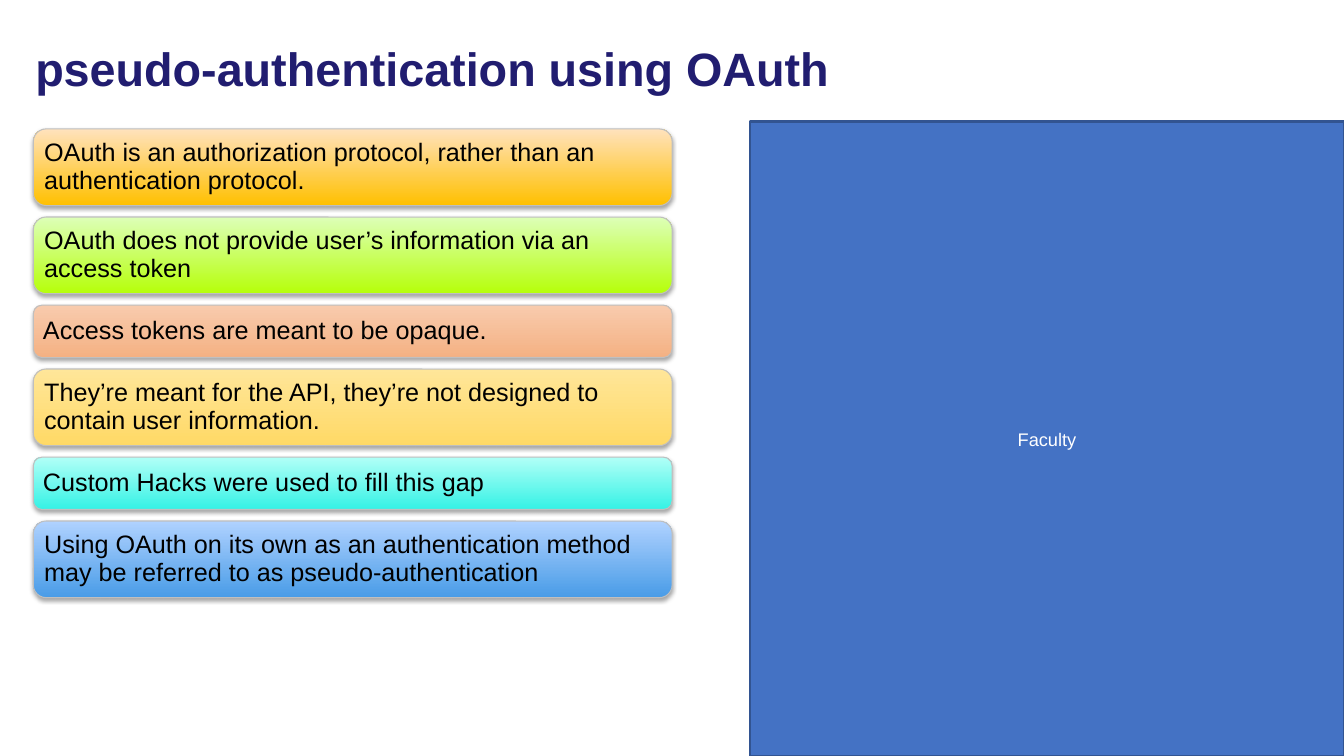
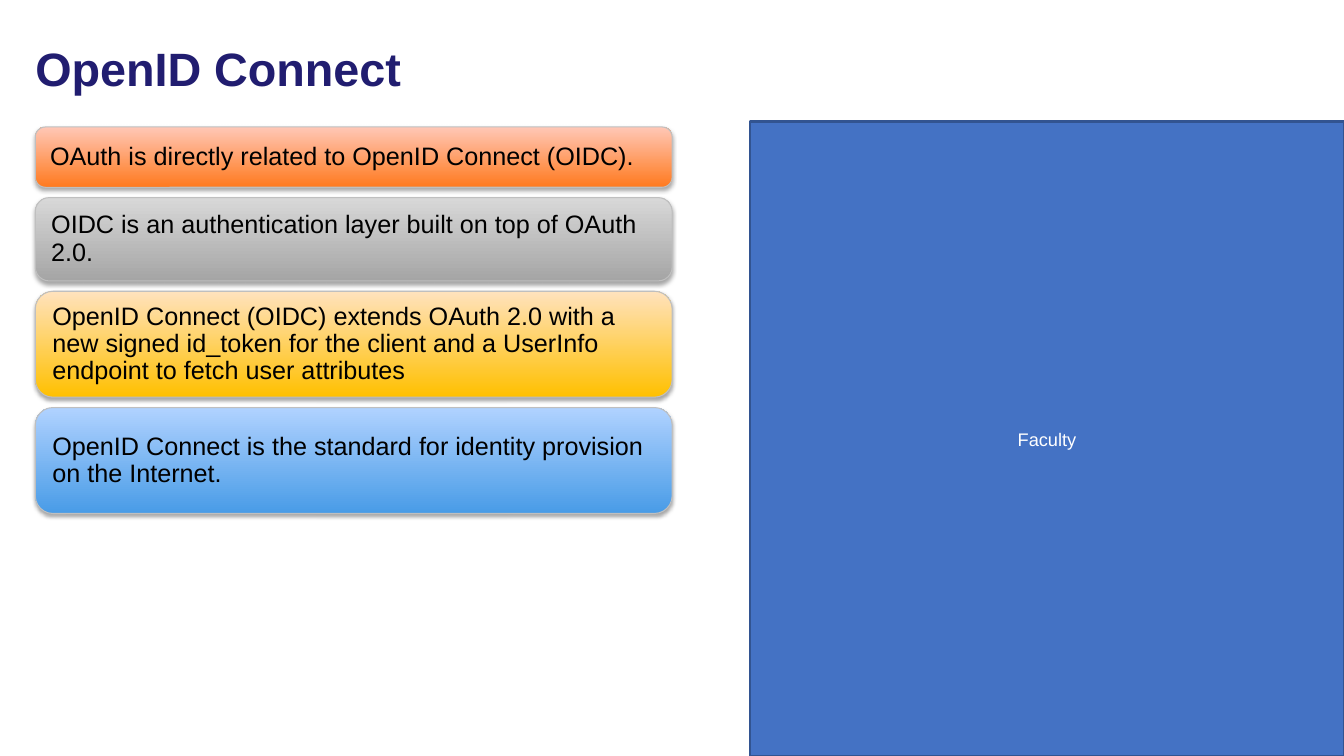
import lxml.etree
import pptx
import pptx.dml.color
import pptx.enum.shapes
import pptx.enum.text
import pptx.oxml.ns
import pptx.util

Cm = pptx.util.Cm
Pt = pptx.util.Pt
RGBColor = pptx.dml.color.RGBColor
MSO_SHAPE = pptx.enum.shapes.MSO_SHAPE
MSO_ANCHOR = pptx.enum.text.MSO_ANCHOR
PP_ALIGN = pptx.enum.text.PP_ALIGN
qn = pptx.oxml.ns.qn

FONT = "Arial"
SLIDE_WIDTH, SLIDE_HEIGHT = Cm(33.87), Cm(19.05)
BLACK = RGBColor(0x00, 0x00, 0x00)
WHITE = RGBColor(0xFF, 0xFF, 0xFF)
NAVY = RGBColor(0x21, 0x1D, 0x70)
PANEL_BLUE = RGBColor(0x44, 0x72, 0xC4)
PANEL_EDGE = RGBColor(0x32, 0x54, 0x91)
CARD_EDGE = RGBColor(0xBF, 0xBF, 0xBF)

AMBER = (RGBColor(0xFF, 0xC0, 0x00), RGBColor(0xFF, 0xE2, 0xBD))
LIME = (RGBColor(0xB6, 0xFF, 0x0A), RGBColor(0xDD, 0xFF, 0xB8))
PEACH = (RGBColor(0xF4, 0xB1, 0x83), RGBColor(0xF8, 0xCB, 0xAD))
SAND = (RGBColor(0xFF, 0xD9, 0x66), RGBColor(0xFF, 0xE6, 0x99))
CYAN = (RGBColor(0x35, 0xF2, 0xE5), RGBColor(0xB1, 0xFF, 0xF7))
BLUE = (RGBColor(0x49, 0x9C, 0xE7), RGBColor(0xB0, 0xD2, 0xFF))
ORANGE = (RGBColor(0xFF, 0x7A, 0x1F), RGBColor(0xFF, 0xC7, 0xB6))
GREY = (RGBColor(0xA5, 0xA5, 0xA5), RGBColor(0xD8, 0xD8, 0xD8))

PSEUDO_AUTHENTICATION_CARDS = [
    ("OAuth is an authorization protocol, rather than an authentication protocol.", Cm(1.93), AMBER),
    ("OAuth does not provide user’s information via an access token", Cm(1.93), LIME),
    ("Access tokens are meant to be opaque.", Cm(1.32), PEACH),
    ("They’re meant for the API, they’re not designed to contain user information.", Cm(1.93), SAND),
    ("Custom Hacks were used to fill this gap", Cm(1.32), CYAN),
    ("Using OAuth on its own as an authentication method may be referred to as pseudo-authentication",
     Cm(1.93), BLUE),
]
OPENID_CARDS = [
    ("OAuth is directly related to OpenID Connect (OIDC).", Cm(1.52), ORANGE),
    ("OIDC is an authentication layer built on top of OAuth 2.0.", Cm(2.1), GREY),
    ("OpenID Connect (OIDC) extends OAuth 2.0 with a new signed id_token for the client "
     "and a UserInfo endpoint to fetch user attributes", Cm(2.67), AMBER),
    ("OpenID Connect is the standard for identity provision on the Internet.", Cm(2.67), BLUE),
]


def write_text(shape, text, size, color, alignment=PP_ALIGN.LEFT, bold=False, line_spacing=0.9):
    """Fill a shape with one vertically centred paragraph."""
    frame = shape.text_frame
    frame.word_wrap = True
    frame.vertical_anchor = MSO_ANCHOR.MIDDLE
    paragraph = frame.paragraphs[0]
    paragraph.text = text
    paragraph.alignment = alignment
    paragraph.line_spacing = line_spacing
    paragraph.font.name = FONT
    paragraph.font.size = Pt(size)
    paragraph.font.bold = bold
    paragraph.font.color.rgb = color


def add_soft_shadow(shape):
    """Give a shape a soft black shadow falling straight down."""
    shape.shadow.inherit = False
    effects = shape._element.spPr.find(qn("a:effectLst"))
    shadow = lxml.etree.SubElement(
        effects, qn("a:outerShdw"), blurRad=str(Pt(3.1)), dist=str(Pt(1.8)),
        dir="5400000", rotWithShape="0")
    color = lxml.etree.SubElement(shadow, qn("a:srgbClr"), val="000000")
    lxml.etree.SubElement(color, qn("a:alpha"), val="35000")


def add_title(slide, text, left, top, width, height):
    """Place the slide title."""
    title = slide.shapes.add_textbox(left, top, width, height)
    write_text(title, text, 33.4, NAVY, bold=True)


def add_side_panel(slide, left, top, width, height):
    """Place the blue panel that fills the lower right of the slide."""
    panel = slide.shapes.add_shape(MSO_SHAPE.RECTANGLE, left, top, width, height)
    panel.shadow.inherit = False
    panel.fill.solid()
    panel.fill.fore_color.rgb = PANEL_BLUE
    panel.line.color.rgb = PANEL_EDGE
    panel.line.width = Pt(2)
    write_text(panel, "Faculty", 13, WHITE, PP_ALIGN.CENTER, line_spacing=1.0)


def add_card(slide, text, colors, left, top, width, height, indent):
    """Place one rounded card with a gradient from bottom to top."""
    card = slide.shapes.add_shape(MSO_SHAPE.ROUNDED_RECTANGLE, left, top, width, height)
    card.fill.gradient()
    card.fill.gradient_angle = 90
    for stop, position, color in zip(card.fill.gradient_stops, (0, 1), colors):
        stop.position = position
        stop.color.rgb = color
    card.line.color.rgb = CARD_EDGE
    card.line.width = Pt(0.75)
    add_soft_shadow(card)
    frame = card.text_frame
    frame.margin_top = frame.margin_bottom = frame.margin_right = Cm(0.18)
    frame.margin_left = indent
    write_text(card, text, 18, BLACK)


def add_card_stack(slide, cards, left, top, width, gap, indent):
    """Stack cards downwards with equal gaps."""
    for text, height, colors in cards:
        add_card(slide, text, colors, left, top, width, height, indent)
        top += height + gap


def add_topic_slide(presentation, title, cards, left, top, width, gap, indent):
    """Add a slide with a title, a stack of cards and the side panel."""
    slide = presentation.slides.add_slide(presentation.slide_layouts[6])
    panel_left, panel_top = Cm(18.9), Cm(3.07)
    add_side_panel(slide, panel_left, panel_top, SLIDE_WIDTH - panel_left, SLIDE_HEIGHT - panel_top)
    add_title(slide, title, Cm(0.64), Cm(0.64), Cm(30), Cm(2.31))
    add_card_stack(slide, cards, left, top, width, gap, indent)


def main():
    """Build and save the presentation."""
    presentation = pptx.Presentation()
    presentation.slide_width = SLIDE_WIDTH
    presentation.slide_height = SLIDE_HEIGHT
    add_topic_slide(presentation, "pseudo-authentication using OAuth", PSEUDO_AUTHENTICATION_CARDS,
                    Cm(0.84), Cm(3.25), Cm(16.1), Cm(0.29), Cm(0.18))
    add_topic_slide(presentation, "OpenID Connect", OPENID_CARDS,
                    Cm(0.89), Cm(3.2), Cm(16.05), Cm(0.26), Cm(0.3))
    presentation.save("out.pptx")


if __name__ == "__main__":
    main()
